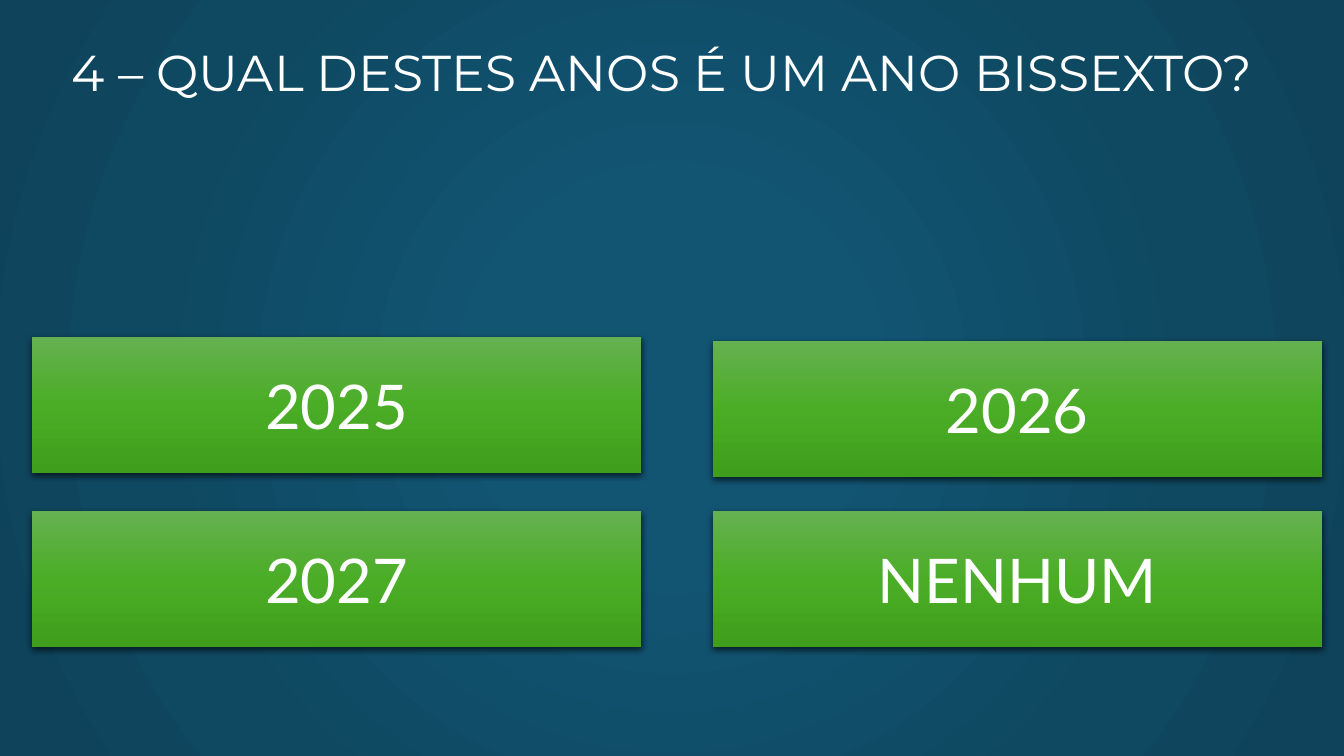
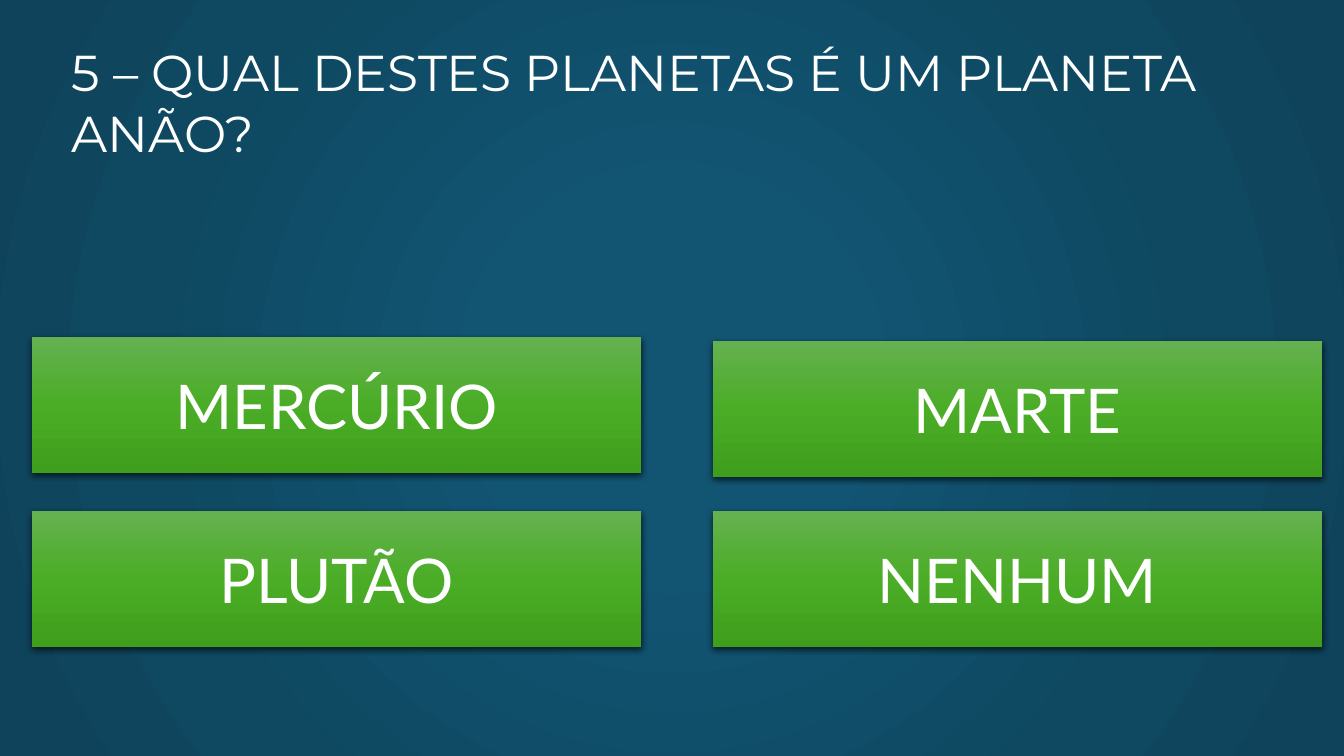
"""Build two quiz slides, each with a question and four answer buttons."""
from pptx import Presentation
from pptx.dml.color import RGBColor
from pptx.enum.shapes import MSO_SHAPE
from pptx.enum.text import MSO_ANCHOR, MSO_AUTO_SIZE, PP_ALIGN
from pptx.oxml import parse_xml
from pptx.oxml.ns import nsdecls, qn
from pptx.util import Inches, Pt

RECT = MSO_SHAPE.RECTANGLE
TOP, MIDDLE = MSO_ANCHOR.TOP, MSO_ANCHOR.MIDDLE
LEFT, CENTER = PP_ALIGN.LEFT, PP_ALIGN.CENTER
GROW = MSO_AUTO_SIZE.SHAPE_TO_FIT_TEXT

WHITE = RGBColor(0xFF, 0xFF, 0xFF)
BLACK = RGBColor(0x00, 0x00, 0x00)
BLUE = RGBColor(0x12, 0x55, 0x73)
DUSK = RGBColor(0x0F, 0x48, 0x61)
NAVY = RGBColor(0x0E, 0x43, 0x5B)
LIME = RGBColor(0x65, 0xB1, 0x51)
GREEN = RGBColor(0x4B, 0xAD, 0x26)
MOSS = RGBColor(0x3F, 0x9E, 0x1C)

BACK = [(0, BLUE), (23, BLUE), (69, DUSK), (97, NAVY), (100, NAVY)]
FACE = [(0, LIME), (50, GREEN), (100, MOSS)]
GLOW = ('<a:path path="circle"><a:fillToRect l="50000" t="50000" '
        'r="50000" b="50000"/></a:path>')
DOWN = '<a:lin ang="5400000" scaled="0"/>'

SPOTS = [(0.32, 3.34), (7.07, 3.38), (0.32, 5.07), (7.07, 5.07)]
QUIZ = [
    ("4 – QUAL DESTES ANOS É UM ANO BISSEXTO?",
     ["2025", "2026", "2027", "NENHUM"]),
    ("5 – QUAL DESTES PLANETAS É UM PLANETA ANÃO?",
     ["MERCÚRIO", "MARTE", "PLUTÃO", "NENHUM"]),
]


class Deck:
    """Hold the quiz style and the current slide."""

    def __init__(self):
        """Set the slide size and the shared background."""
        self.prs = Presentation()
        self.prs.slide_width = Inches(13.33)
        self.prs.slide_height = Inches(7.5)
        self.slide = None
        master = self.prs.slide_master
        master.background.fill.solid()
        self.blend(master.element.find(".//" + qn("p:bgPr")), BACK, GLOW)

    def blend(self, props, stops, way):
        """Replace the solid fill in props with a gradient."""
        marks = "".join(
            f'<a:gs pos="{pos * 1000}"><a:srgbClr val="{tone}"/></a:gs>'
            for pos, tone in stops)
        grad = parse_xml(
            f'<a:gradFill {nsdecls("a")} rotWithShape="1">'
            f'<a:gsLst>{marks}</a:gsLst>{way}</a:gradFill>')
        props.replace(props.find(qn("a:solidFill")), grad)

    def shade(self, shape):
        """Give the shape a soft shadow below it."""
        shape.shadow.inherit = False
        shape.element.spPr.find(qn("a:effectLst")).append(parse_xml(
            f'<a:outerShdw {nsdecls("a")} blurRad="{Pt(4.5)}" '
            f'dist="{Pt(1.5)}" dir="5400000" algn="ctr" rotWithShape="0">'
            f'<a:srgbClr val="{BLACK}"><a:alpha val="63000"/></a:srgbClr>'
            '</a:outerShdw>'))

    def label(self, shape, text, font, size, align, anchor):
        """Set one white run in the shape."""
        frame = shape.text_frame
        frame.word_wrap = True
        frame.vertical_anchor = anchor
        para = frame.paragraphs[0]
        para.alignment = align
        run = para.add_run()
        run.text = text
        run.font.name = font
        run.font.size = Pt(size)
        run.font.color.rgb = WHITE

    def start(self, text):
        """Add a slide with the question as its title."""
        self.slide = self.prs.slides.add_slide(self.prs.slide_layouts[5])
        title = self.slide.shapes.title
        title.left, title.top = Inches(0.61), Inches(0.36)
        title.width, title.height = Inches(11.91), Inches(1.31)
        self.label(title, text, "Montserrat", 36, LEFT, TOP)
        title.text_frame.auto_size = GROW

    def button(self, text, left, top):
        """Add one answer button."""
        shape = self.slide.shapes.add_shape(
            RECT, Inches(left), Inches(top), Inches(6.04), Inches(1.35))
        shape.fill.solid()
        self.blend(shape.element.spPr, FACE, DOWN)
        shape.line.fill.background()
        self.shade(shape)
        self.label(shape, text, "Lato", 44, CENTER, MIDDLE)


def main():
    """Build and save the quiz."""
    deck = Deck()
    for question, answers in QUIZ:
        deck.start(question)
        for answer, (left, top) in zip(answers, SPOTS):
            deck.button(answer, left, top)
    deck.prs.save("out.pptx")


if __name__ == "__main__":
    main()
